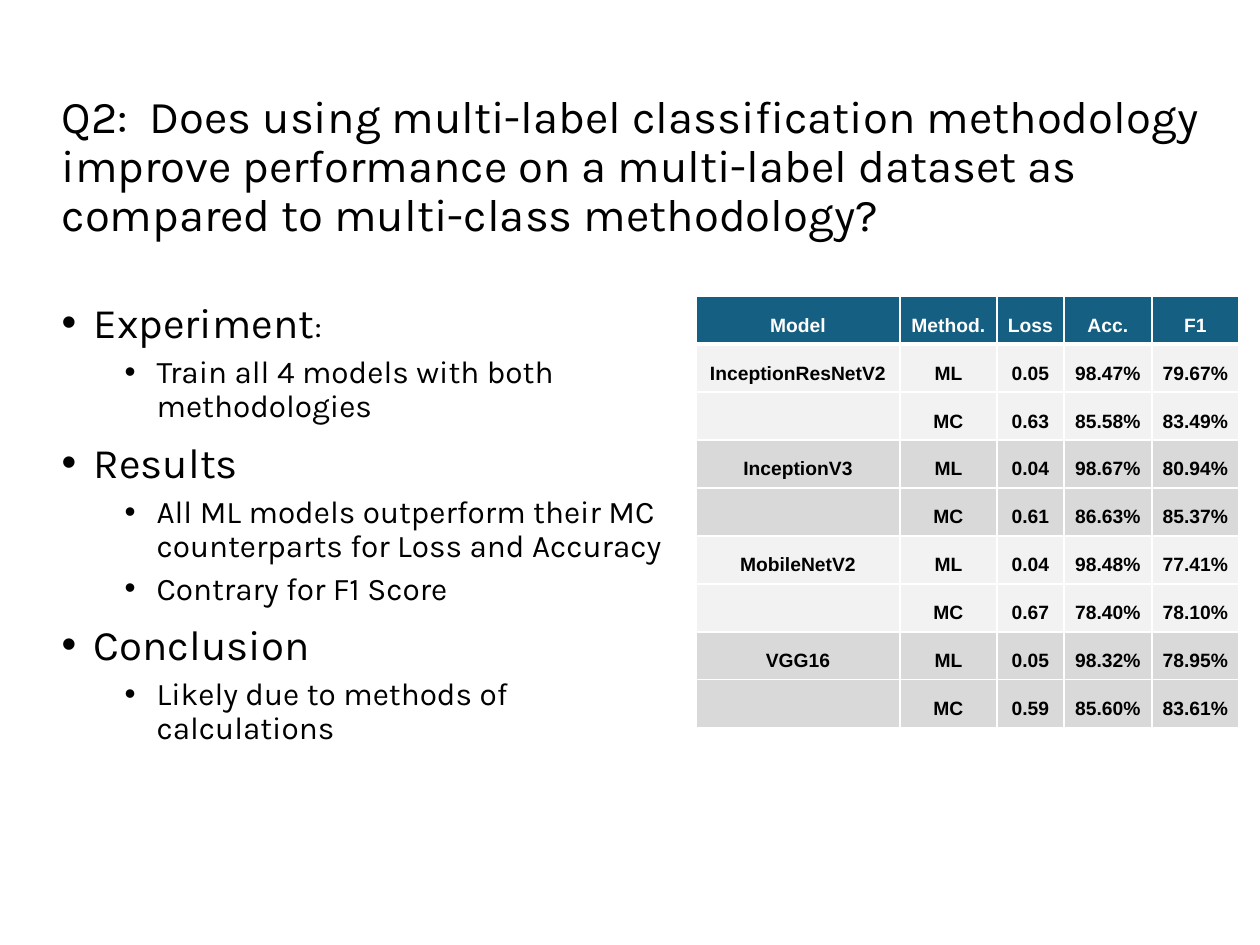
from lxml import etree
from pptx import Presentation, util as u
from pptx.dml.color import RGBColor
from pptx.enum import text
from pptx.oxml.ns import qn

EMU_PER_PX = 914400 / 126
BLACK, WHITE, HEADER_BLUE = "000000", "FFFFFF", "156082"
BANDS = ("F2F2F2", "D9D9D9")
TITLE = ("Q2:  Does using multi-label classification methodology improve performance "
         "on a multi-label dataset as compared to multi-class methodology?")
POINTS = [
    (0, [("Experiment", 24), (":", 18)]),
    (1, [("Train all 4 models with both methodologies", 18)]),
    (0, [("Results", 24)]),
    (1, [("All ML models outperform their MC counterparts for Loss and Accuracy", 18)]),
    (1, [("Contrary for F1 Score", 18)]),
    (0, [("Conclusion", 24)]),
    (1, [("Likely due to methods of calculations", 18)]),
]
COLUMN_WIDTHS = (204, 97, 67, 88, 87)
ROW_HEIGHT = 48
RESULTS = [
    ("Model", "Method.", "Loss", "Acc.", "F1"),
    ("InceptionResNetV2", "ML", "0.05", "98.47%", "79.67%"),
    ("", "MC", "0.63", "85.58%", "83.49%"),
    ("InceptionV3", "ML", "0.04", "98.67%", "80.94%"),
    ("", "MC", "0.61", "86.63%", "85.37%"),
    ("MobileNetV2", "ML", "0.04", "98.48%", "77.41%"),
    ("", "MC", "0.67", "78.40%", "78.10%"),
    ("VGG16", "ML", "0.05", "98.32%", "78.95%"),
    ("", "MC", "0.59", "85.60%", "83.61%"),
]


def px(length):
    """Convert pixels to EMU."""
    return u.Emu(round(length * EMU_PER_PX))


def color(value):
    """Convert a hex string to a colour."""
    return RGBColor.from_string(value)


def place(shape, left, top, width, height):
    """Move and size a shape in pixels."""
    shape.left, shape.top, shape.width, shape.height = map(px, (left, top, width, height))


def format_run(run, name, size, fill, bold=False):
    """Set the font of a run."""
    run.font.name, run.font.size, run.font.bold = name, u.Pt(size), bold
    run.font.color.rgb = color(fill)


def add_title(slide):
    """Fill the title placeholder."""
    title = slide.shapes.title
    place(title, 49, 84, 1173, 168)
    frame = title.text_frame
    frame.text = TITLE
    frame.auto_size = text.MSO_AUTO_SIZE.NONE
    frame.vertical_anchor = text.MSO_ANCHOR.MIDDLE
    paragraph = frame.paragraphs[0]
    paragraph.alignment = text.PP_ALIGN.LEFT
    paragraph.line_spacing = 0.9
    format_run(paragraph.runs[0], "Karla", 26, BLACK)


def set_bullet(paragraph, margin):
    """Give a paragraph a round bullet and a hanging indent."""
    properties = paragraph._p.get_or_add_pPr()
    properties.set("marL", str(px(margin)))
    properties.set("indent", str(-px(32)))
    etree.SubElement(properties, qn("a:buFont"), typeface="Arial")
    etree.SubElement(properties, qn("a:buChar"), char="•")


def add_points(slide):
    """Fill the body placeholder with the bulleted list."""
    body = slide.placeholders[1]
    place(body, 49, 296, 653, 514)
    frame = body.text_frame
    frame.auto_size = text.MSO_AUTO_SIZE.NONE
    for index, (level, pieces) in enumerate(POINTS):
        paragraph = frame.add_paragraph() if index else frame.paragraphs[0]
        paragraph.level = level
        paragraph.line_spacing = 0.9
        paragraph.space_before = u.Pt(5 if level else 10)
        set_bullet(paragraph, 95 if level else 32)
        for words, size in pieces:
            run = paragraph.add_run()
            run.text = words
            format_run(run, "Karla", size, BLACK)


def set_borders(cell, top, bottom):
    """Draw white borders around a cell, with widths in points."""
    properties = cell._tc.get_or_add_tcPr()
    for side, width in (("L", 1), ("R", 1), ("T", top), ("B", bottom)):
        line = etree.SubElement(properties, qn(f"a:ln{side}"), w=str(u.Pt(width)))
        fill = etree.SubElement(line, qn("a:solidFill"))
        etree.SubElement(fill, qn("a:srgbClr"), val=WHITE)


def format_cell(cell, words, fill, font_color):
    """Write and format one table cell."""
    cell.fill.solid()
    cell.fill.fore_color.rgb = color(fill)
    cell.vertical_anchor = text.MSO_ANCHOR.MIDDLE
    cell.margin_left = cell.margin_right = px(8)
    cell.margin_top = cell.margin_bottom = 0
    if words:
        cell.text_frame.text = words
        paragraph = cell.text_frame.paragraphs[0]
        paragraph.alignment = text.PP_ALIGN.CENTER
        paragraph.line_spacing = 1.5
        format_run(paragraph.runs[0], "Arial", 11, font_color, bold=True)


def add_results(slide):
    """Add the table of results, banded by model."""
    frame = slide.shapes.add_table(
        len(RESULTS), len(COLUMN_WIDTHS), px(696), px(296),
        px(sum(COLUMN_WIDTHS)), px(ROW_HEIGHT * len(RESULTS)))
    table = frame.table
    for column, width in zip(table.columns, COLUMN_WIDTHS):
        column.width = px(width)
    for index, (row, values) in enumerate(zip(table.rows, RESULTS)):
        row.height = px(ROW_HEIGHT)
        fill = BANDS[(index - 1) // 2 % 2] if index else HEADER_BLUE
        for cell, words in zip(row.cells, values):
            set_borders(cell, 3 if index == 1 else 1, 1 if index else 3)
            format_cell(cell, words, fill, BLACK if index else WHITE)


def main():
    """Build and save the slide."""
    presentation = Presentation()
    presentation.slide_width, presentation.slide_height = px(1260), px(945)
    slide = presentation.slides.add_slide(presentation.slide_layouts[1])
    add_title(slide)
    add_points(slide)
    add_results(slide)
    presentation.save("out.pptx")


if __name__ == "__main__":
    main()
